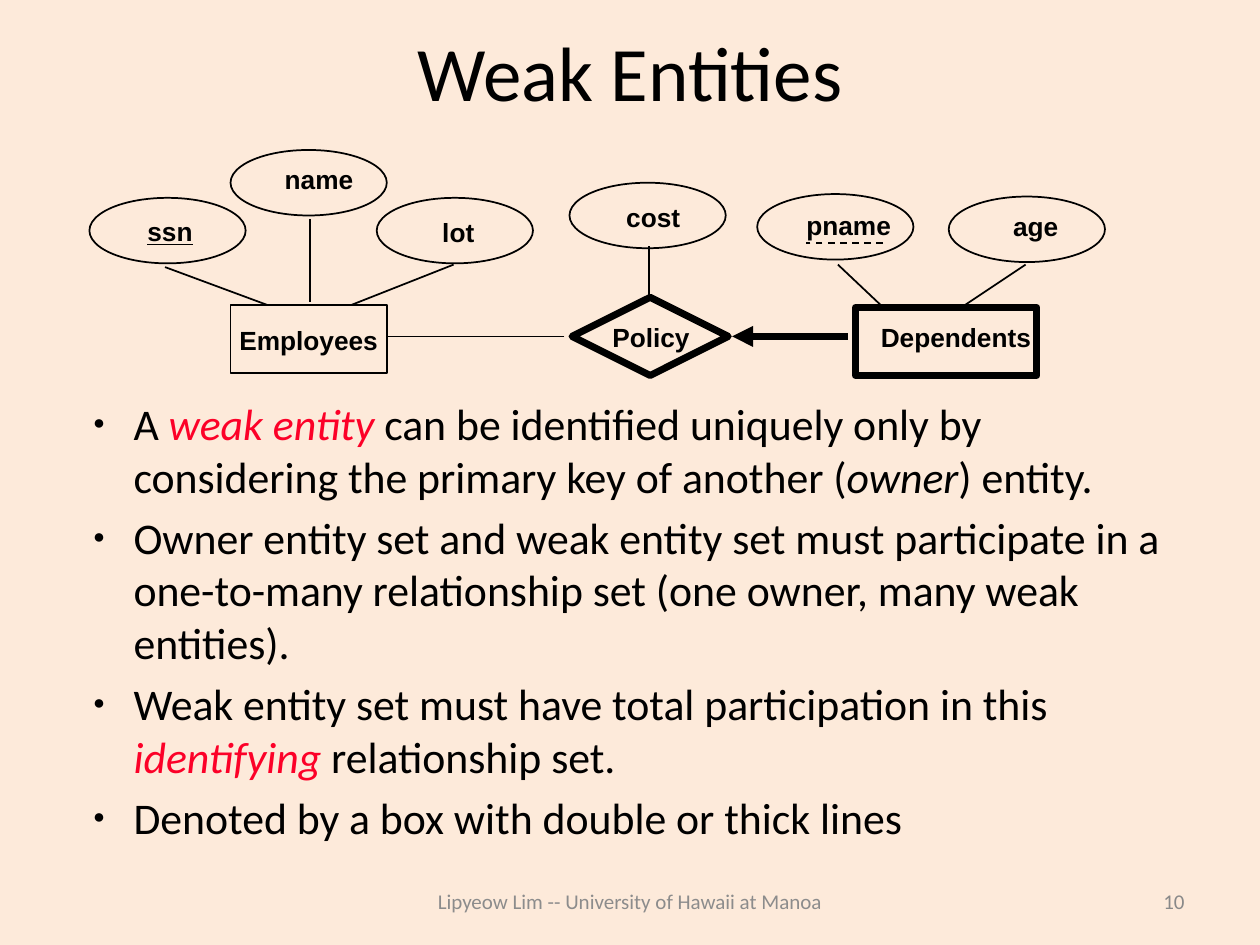
from lxml.etree import SubElement
from pptx import Presentation
from pptx.dml.color import RGBColor
from pptx.enum.dml import MSO_LINE_DASH_STYLE as Dash
from pptx.enum.shapes import MSO_CONNECTOR as Connector, MSO_SHAPE as Shape
from pptx.enum.text import MSO_ANCHOR as Anchor, MSO_AUTO_SIZE as AutoSize, PP_ALIGN as Align
from pptx.oxml.ns import qn
from pptx.util import Inches, Pt

COLORS = {"background": "FDEADA", "ink": "000000", "key": "FC0128",
          "footer": "8C8C8C", "number": "898989"}
TITLE = "Weak Entities"
POINTS = [
    [("A ", "ink", False), ("weak entity ", "key", True),
     ("can be identified uniquely only by considering the primary key of another (", "ink", False),
     ("owner", "ink", True), (") entity.", "ink", False)],
    [("Owner entity set and weak entity set must participate in a one-to-many "
      "relationship set (one owner, many weak entities).", "ink", False)],
    [("Weak entity set must have total participation in this ", "ink", False),
     ("identifying ", "key", True), ("relationship set.", "ink", False)],
    [("Denoted by a box with double or thick lines", "ink", False)],
]
FOOTERS = [
    ("Lipyeow Lim -- University of Hawaii at Manoa", (3, 6.95, 4, 0.4), Align.CENTER, "footer"),
    ("10", (7.17, 6.95, 2.33, 0.4), Align.RIGHT, "number"),
]
THIN, THICK = 1, 4
ATTRIBUTE_SIZE = (1.24, 0.52)
ATTRIBUTES = [
    ("ssn", (0.71, 1.57), (1.08, 1.67, 0.54)),
    ("name", (1.83, 1.19), (2.17, 1.26, 0.73)),
    ("lot", (2.99, 1.57), (3.42, 1.68, 0.44)),
    ("cost", (4.52, 1.45), (4.88, 1.56, 0.61)),
    ("pname", (6.01, 1.54), (6.31, 1.62, 0.86)),
    ("age", (7.53, 1.56), (7.95, 1.63, 0.54)),
]
SETS = [
    ("Employees", Shape.RECTANGLE, (1.83, 2.42, 1.24, 0.54), THIN, (1.81, 2.53, 1.29)),
    ("Policy", Shape.DIAMOND, (4.54, 2.36, 1.24, 0.62), THICK, (4.77, 2.51, 0.8)),
    ("Dependents", Shape.RECTANGLE, (6.79, 2.44, 1.44, 0.54), THICK, (6.9, 2.51, 1.39)),
]
LINKS = [
    ((1.31, 2.12), (2.12, 2.42)),
    ((2.46, 1.74), (2.46, 2.4)),
    ((3.6, 2.1), (2.79, 2.42)),
    ((5.15, 2.37), (5.15, 1.95)),
    ((6.65, 2.1), (7.01, 2.44)),
    ((8.14, 2.1), (7.63, 2.44)),
    ((4.48, 2.67), (3.07, 2.67)),
]
PARTIAL_KEY = ((7.01, 1.93), (6.4, 1.93))
TOTAL_PARTICIPATION = ((6.73, 2.67), (5.81, 2.67))


def rgb(color):
    return RGBColor.from_string(COLORS[color])


def add_run(paragraph, text, size, color="ink", font="Calibri", **styles):
    run = paragraph.add_run()
    run.text = text
    run.font.name, run.font.size = font, Pt(size)
    run.font.color.rgb = rgb(color)
    for style, value in styles.items():
        setattr(run.font, style, value)


def set_frame(frame, insets, anchor=Anchor.TOP, wrap=True):
    frame.auto_size = AutoSize.NONE
    frame.word_wrap = wrap
    frame.vertical_anchor = anchor
    frame.margin_left, frame.margin_top, frame.margin_right, frame.margin_bottom = map(Inches, insets)


def place(holder, box):
    holder.left, holder.top, holder.width, holder.height = map(Inches, box)


def add_outline(slide, kind, box, weight):
    outline = slide.shapes.add_shape(kind, *map(Inches, box))
    outline.shadow.inherit = False
    outline.fill.background()
    outline.line.color.rgb = rgb("ink")
    outline.line.width = Pt(weight)


def add_label(slide, text, spot):
    frame = slide.shapes.add_textbox(*map(Inches, (*spot, 0.34))).text_frame
    set_frame(frame, (0.09, 0.04, 0.09, 0.04), wrap=False)
    add_run(frame.paragraphs[0], text, 15, font="Arial", bold=True, underline=text == "ssn")


def add_link(slide, ends, weight=THIN):
    start, end = ends
    link = slide.shapes.add_connector(Connector.STRAIGHT, *map(Inches, (*start, *end)))
    link.line.color.rgb = rgb("ink")
    link.line.width = Pt(weight)
    SubElement(link._element.spPr, qn("a:effectLst"))
    return link


def add_bullet(paragraph):
    properties = paragraph._p.get_or_add_pPr()
    properties.set("marL", str(Inches(0.43)))
    properties.set("indent", str(Inches(-0.32)))
    SubElement(properties, qn("a:buSzPct"), val="45000")
    SubElement(properties, qn("a:buFont"), typeface="Arial")
    SubElement(properties, qn("a:buChar"), char="●")


def main():
    deck = Presentation()
    deck.slide_width, deck.slide_height = Inches(10), Inches(7.5)
    slide = deck.slides.add_slide(deck.slide_layouts[1])
    slide.background.fill.solid()
    slide.background.fill.fore_color.rgb = rgb("background")

    title, body = slide.placeholders
    place(title, (0.5, -0.01, 9, 1.16))
    set_frame(title.text_frame, (0.1, 0.04, 0.1, 0.05), Anchor.MIDDLE)
    heading = title.text_frame.paragraphs[0]
    heading.alignment = Align.CENTER
    add_run(heading, TITLE, 44)

    place(body, (0.53, 3.13, 9, 3.5))
    set_frame(body.text_frame, (0.1, 0.02, 0.1, 0.05))
    for index, point in enumerate(POINTS):
        paragraph = body.text_frame.add_paragraph() if index else body.text_frame.paragraphs[0]
        paragraph.space_before = Pt(5 if index else 0)
        add_bullet(paragraph)
        for text, color, italic in point:
            add_run(paragraph, text, 25, color, italic=italic)

    for name, corner, spot in ATTRIBUTES:
        add_outline(slide, Shape.OVAL, (*corner, *ATTRIBUTE_SIZE), THIN)
        add_label(slide, name, spot)
    for name, kind, box, weight, spot in SETS:
        add_outline(slide, kind, box, weight)
        add_label(slide, name, spot)

    for ends in LINKS:
        add_link(slide, ends)
    add_link(slide, PARTIAL_KEY).line.dash_style = Dash.DASH
    arrow = add_link(slide, TOTAL_PARTICIPATION, THICK)
    SubElement(arrow.line._get_or_add_ln(), qn("a:tailEnd"), type="triangle")

    for text, box, alignment, color in FOOTERS:
        frame = slide.shapes.add_textbox(*map(Inches, box)).text_frame
        set_frame(frame, (0.1, 0.05, 0.1, 0.05), Anchor.MIDDLE)
        frame.paragraphs[0].alignment = alignment
        add_run(frame.paragraphs[0], text, 12, color)

    deck.save("out.pptx")


if __name__ == "__main__":
    main()
